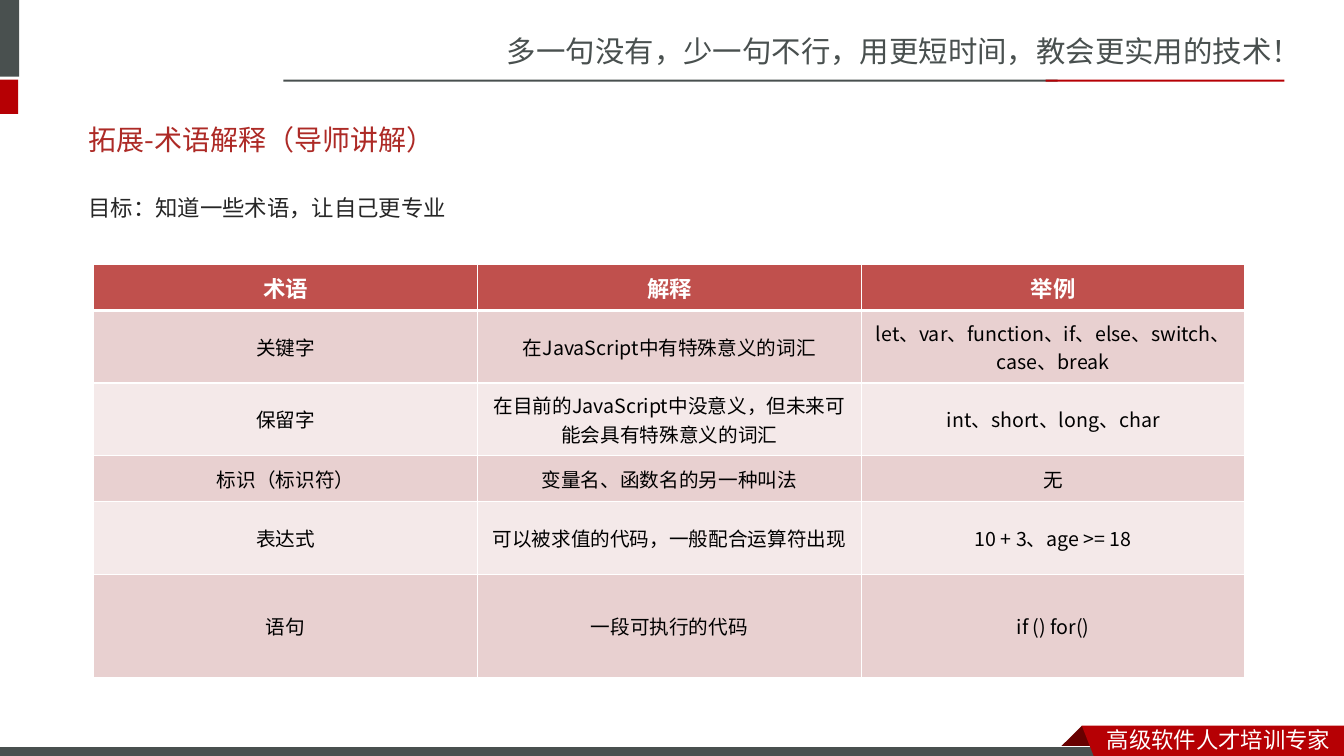
from dataclasses import dataclass

from lxml import etree
from pptx import Presentation
from pptx.dml.color import RGBColor
from pptx.enum.shapes import MSO_SHAPE as Shape
from pptx.enum.text import MSO_ANCHOR as Anchor, PP_ALIGN as Align
from pptx.oxml.ns import qn
from pptx.util import Inches, Pt


@dataclass(frozen=True)
class Theme:
    grey: str = "49504F"
    red: str = "B60004"
    dark_red: str = "680000"
    title: str = "AD2A26"
    body: str = "262626"
    white: str = "FFFFFF"
    black: str = "000000"
    table_head: str = "C0504D"
    table_bands: tuple = ("E8D0D0", "F4E9E9")
    slogan_size: int = 21
    title_size: int = 20
    body_size: int = 16
    cell_size: int = 14
    chinese: str = "Noto Sans CJK SC"
    heading: str = "Noto Sans CJK JP"
    latin: str = "Roboto"


class SlideBuilder:
    def __init__(self, slide, theme):
        self.slide = slide
        self.theme = theme

    def style(self, para, size, color, font, bold=False):
        for span in para.runs:
            span.font.size = Pt(size)
            span.font.bold = bold
            span.font.name = font
            span.font.color.rgb = RGBColor.from_string(color)
            # East Asian typeface for the Chinese characters
            east_asian = self.theme.chinese if font == self.theme.latin else font
            etree.SubElement(span.font._element, qn("a:ea"), typeface=east_asian)

    def text(self, place, content, size, color, font, anchor=Anchor.TOP, spacing=None):
        box = self.slide.shapes.add_textbox(*map(Inches, place))
        frame = box.text_frame
        frame.word_wrap = True
        frame.vertical_anchor = anchor
        frame.text = content
        para = frame.paragraphs[0]
        if spacing:
            para.line_spacing = spacing
        self.style(para, size, color, font)

    def paint(self, shape, fill, line=None):
        shape.shadow.inherit = False
        shape.fill.solid()
        shape.fill.fore_color.rgb = RGBColor.from_string(fill)
        if line:
            shape.line.color.rgb = RGBColor.from_string(line)
            shape.line.width = Pt(0.75)
        else:
            shape.line.fill.background()

    def bar(self, place, fill, line=None):
        shape = self.slide.shapes.add_shape(Shape.RECTANGLE, *map(Inches, place))
        self.paint(shape, fill, line)

    def outline(self, points, fill):
        start, *others = [(Inches(x), Inches(y)) for x, y in points]
        builder = self.slide.shapes.build_freeform(*start)
        builder.add_line_segments(others, close=True)
        self.paint(builder.convert_to_shape(), fill)

    def border(self, cell, side, points):
        properties = cell._tc.get_or_add_tcPr()
        line = etree.SubElement(properties, qn(f"a:ln{side}"), w=str(Pt(points)))
        fill = etree.SubElement(line, qn("a:solidFill"))
        etree.SubElement(fill, qn("a:srgbClr"), val=self.theme.white)

    def cell(self, cell, content, row):
        theme = self.theme
        head = row == 0
        for side in "LRTB":
            heavy = (row, side) in ((0, "B"), (1, "T"))
            self.border(cell, side, 3 if heavy else 1)
        fill = theme.table_head if head else theme.table_bands[(row - 1) % 2]
        cell.fill.solid()
        cell.fill.fore_color.rgb = RGBColor.from_string(fill)
        cell.vertical_anchor = Anchor.MIDDLE
        cell.text = content
        para = cell.text_frame.paragraphs[0]
        para.alignment = Align.CENTER
        self.style(para, theme.body_size if head else theme.cell_size,
                   theme.white if head else theme.black, theme.heading, head)

    def table(self, place, heights, rows):
        frame = self.slide.shapes.add_table(
            len(rows), len(rows[0]), *map(Inches, place))
        table = frame.table
        table.horz_banding = False
        for row, (height, contents) in enumerate(zip(heights, rows)):
            table.rows[row].height = Inches(height)
            for column, content in enumerate(contents):
                self.cell(table.cell(row, column), content, row)


TERMS = [
    ("术语", "解释", "举例"),
    ("关键字", "在JavaScript中有特殊意义的词汇",
     "let、var、function、if、else、switch、case、break"),
    ("保留字", "在目前的JavaScript中没意义，但未来可能会具有特殊意义的词汇",
     "int、short、long、char"),
    ("标识（标识符）", "变量名、函数名的另一种叫法", "无"),
    ("表达式", "可以被求值的代码，一般配合运算符出现", "10 + 3、age >= 18"),
    ("语句", "一段可执行的代码", "if () for()"),
]
ROW_HEIGHTS = (0.46, 0.72, 0.72, 0.46, 0.72, 1.02)


def main():
    deck = Presentation()
    deck.slide_width, deck.slide_height = Inches(13.33), Inches(7.5)
    theme = Theme()
    page = SlideBuilder(deck.slides.add_slide(deck.slide_layouts[6]), theme)

    # Header: slogan, corner blocks and rule
    page.text((4.93, 0.28, 8.41, 0.47), "多一句没有，少一句不行，用更短时间，教会更实用的技术！",
              theme.slogan_size, theme.grey, theme.chinese)
    page.bar((-0.06, 0, 0.25, 0.76), theme.grey)
    page.bar((-0.06, 0.79, 0.24, 0.34), theme.red)
    page.bar((2.81, 0.79, 7.68, 0.02), theme.grey)
    page.bar((10.37, 0.79, 2.37, 0.02), theme.red)

    # Footer: folded ribbon
    page.outline([(10.73, 7.2), (10.95, 7.42), (10.94, 7.43),
                  (10.52, 7.43), (10.51, 7.42)], theme.dark_red)
    page.bar((-0.01, 7.41, 11, 0.12), theme.grey, theme.white)
    page.outline([(10.73, 7.2), (13.33, 7.2), (13.33, 7.54), (10.86, 7.53)], theme.red)
    page.text((10.88, 7.15, 2.45, 0.37), "高级软件人才培训专家",
              theme.body_size, theme.white, theme.chinese)

    # Title and goal
    page.text((0.78, 1.1, 11.75, 0.57), "拓展-术语解释（导师讲解）",
              theme.title_size, theme.title, theme.heading, Anchor.MIDDLE)
    page.text((0.78, 1.74, 11.72, 0.6), "目标：知道一些术语，让自己更专业",
              theme.body_size, theme.body, theme.latin, spacing=1.5)

    # Table of terms
    page.table((0.93, 2.62, 11.42, 4.1), ROW_HEIGHTS, TERMS)

    deck.save("out.pptx")


if __name__ == "__main__":
    main()
